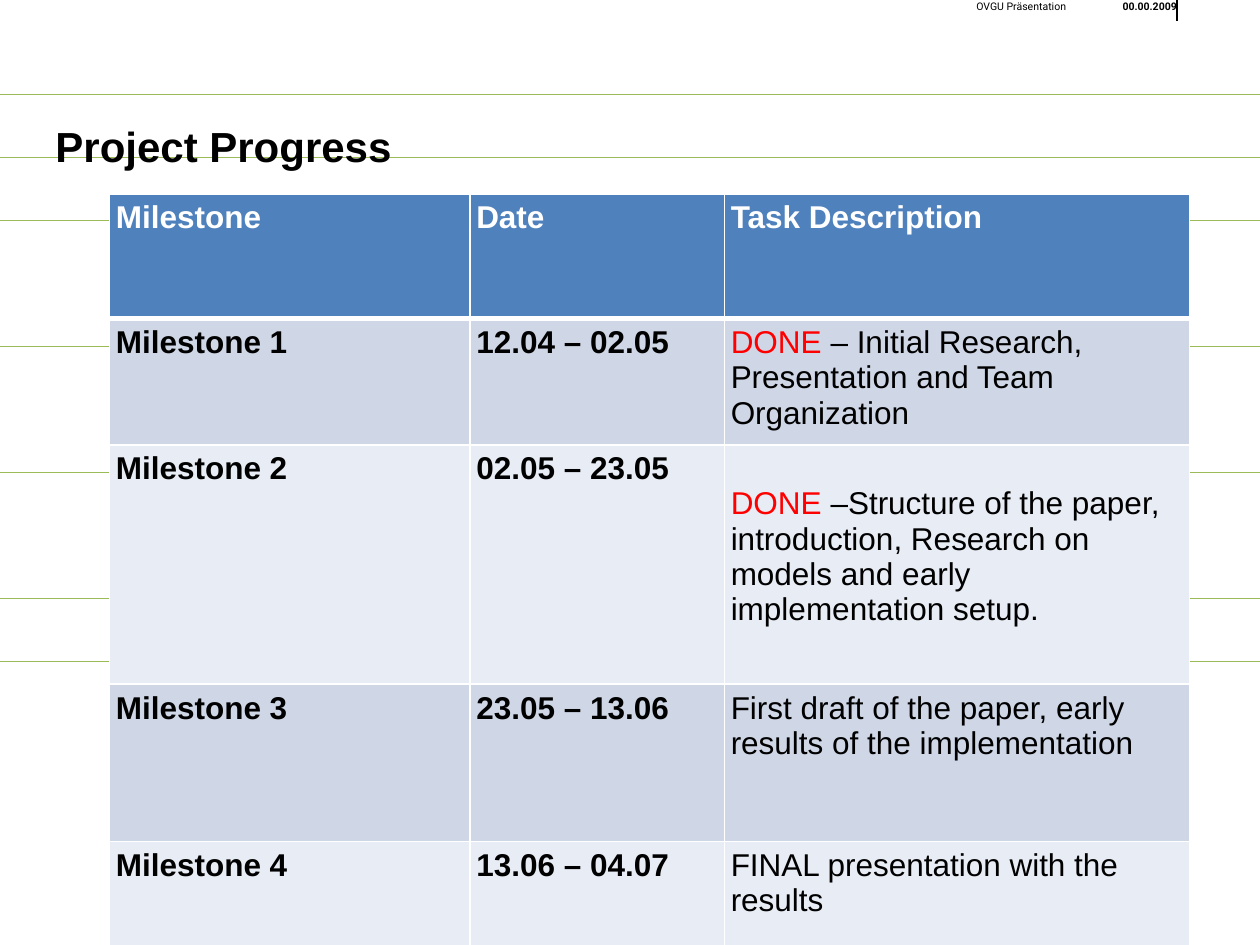
from typing import NamedTuple

import pptx
import pptx.dml.color
import pptx.enum.text
import pptx.oxml.ns
import pptx.util
from lxml import etree
from pptx.dml.color import RGBColor
from pptx.util import Inches

BLACK = RGBColor(0x00, 0x00, 0x00)
WHITE = RGBColor(0xFF, 0xFF, 0xFF)
RED = RGBColor(0xFF, 0x00, 0x00)
GREEN = RGBColor(0x9B, 0xBB, 0x59)
HEADER_BLUE = RGBColor(0x4F, 0x81, 0xBD)
BAND_DARK = RGBColor(0xCF, 0xD7, 0xE7)
BAND_LIGHT = RGBColor(0xE8, 0xEC, 0xF4)

PAD = 0.05
RULE_HEIGHTS = (0.75, 1.25, 1.75, 2.75, 3.75, 4.75, 5.25)
COLUMN_WIDTHS = (2.86, 2.02, 3.69)


class Run(NamedTuple):
    text: str
    size: float = 18
    color: RGBColor = BLACK
    bold: bool = False
    font: str = "Arial"


class Milestone(NamedTuple):
    name: str
    date: str
    task: tuple[Run, ...]
    height: float = 0.99
    task_top: float = PAD


MILESTONES = (
    Milestone("Milestone 1", "12.04 – 02.05",
              (Run("DONE", color=RED),
               Run(" – Initial Research, Presentation and Team Organization"))),
    Milestone("Milestone 2", "02.05 – 23.05",
              (Run("DONE ", color=RED),
               Run("–Structure of the paper, introduction, Research on models "
                   "and early implementation setup.")),
              height=1.9, task_top=0.33),
    Milestone("Milestone 3", "23.05 – 13.06",
              (Run("First draft of the paper, early results of the implementation"),),
              height=1.25),
    Milestone("Milestone 4", "13.06 – 04.07",
              (Run("FINAL presentation with the results"),)),
)


def add_runs(p, *runs: Run) -> None:
    for run in runs:
        r = p.add_run()
        r.text = run.text
        r.font.size = pptx.util.Pt(run.size)
        r.font.name = run.font
        r.font.bold = run.bold
        r.font.color.rgb = run.color


def add_line(s, x1: float, y1: float, x2: float, y2: float,
             color: RGBColor, width: float) -> None:
    line = s.shapes.add_connector(pptx.enum.shapes.MSO_CONNECTOR.STRAIGHT,
                                  Inches(x1), Inches(y1), Inches(x2), Inches(y2))
    line.line.color.rgb = color
    line.line.width = pptx.util.Pt(width)
    etree.SubElement(line._element.spPr, pptx.oxml.ns.qn("a:effectLst"))


def add_text(s, x: float, y: float, w: float, h: float, run: Run,
             pad: float = 0, wrap: bool = True,
             align=pptx.enum.text.PP_ALIGN.LEFT) -> None:
    tf = s.shapes.add_textbox(Inches(x), Inches(y), Inches(w), Inches(h)).text_frame
    tf.margin_left = tf.margin_right = tf.margin_top = tf.margin_bottom = Inches(pad)
    tf.word_wrap = wrap
    tf.auto_size = pptx.enum.text.MSO_AUTO_SIZE.SHAPE_TO_FIT_TEXT
    p = tf.paragraphs[0]
    p.alignment = align
    add_runs(p, run)


def add_borders(cell, top: float = 1, bottom: float = 1) -> None:
    """Draw white cell borders; widths are in points."""
    tc_pr = cell._tc.get_or_add_tcPr()
    for side, width in (("L", 1), ("R", 1), ("T", top), ("B", bottom)):
        ln = etree.SubElement(tc_pr, pptx.oxml.ns.qn(f"a:ln{side}"),
                              w=str(pptx.util.Pt(width)))
        fill = etree.SubElement(ln, pptx.oxml.ns.qn("a:solidFill"))
        etree.SubElement(fill, pptx.oxml.ns.qn("a:srgbClr"), val=str(WHITE))


def fill_cell(cell, fill: RGBColor, runs: tuple[Run, ...], margin_top: float = PAD,
              top: float = 1, bottom: float = 1) -> None:
    add_borders(cell, top, bottom)
    cell.fill.solid()
    cell.fill.fore_color.rgb = fill
    cell.margin_left = cell.margin_right = cell.margin_bottom = Inches(PAD)
    cell.margin_top = Inches(margin_top)
    add_runs(cell.text_frame.paragraphs[0], *runs)


def add_milestone_table(s) -> None:
    heights = [0.99] + [m.height for m in MILESTONES]
    table = s.shapes.add_table(len(heights), len(COLUMN_WIDTHS),
                               Inches(0.87), Inches(1.54),
                               Inches(sum(COLUMN_WIDTHS)),
                               Inches(sum(heights))).table
    for column, width in zip(table.columns, COLUMN_WIDTHS):
        column.width = Inches(width)
    for row, height in zip(table.rows, heights):
        row.height = Inches(height)

    for col, title in enumerate(("Milestone", "Date", "Task Description")):
        fill_cell(table.cell(0, col), HEADER_BLUE,
                  (Run(title, color=WHITE, bold=True),), bottom=3)
    for row, m in enumerate(MILESTONES, start=1):
        fill = BAND_DARK if row % 2 else BAND_LIGHT
        top = 3 if row == 1 else 1
        for col, text in enumerate((m.name, m.date)):
            fill_cell(table.cell(row, col), fill, (Run(text, bold=True),), top=top)
        fill_cell(table.cell(row, 2), fill, m.task, m.task_top, top=top)


def main() -> None:
    prs = pptx.Presentation()
    prs.slide_width, prs.slide_height = Inches(10), Inches(7.5)
    s = prs.slides.add_slide(prs.slide_layouts[6])

    for y in RULE_HEIGHTS:
        add_line(s, -1.08, y, 11.19, y, GREEN, 0.75)

    right = pptx.enum.text.PP_ALIGN.RIGHT
    add_text(s, 8.34, 0, 1, 0.14,
             Run("00.00.2009", size=6, bold=True, font="Roboto"), align=right)
    add_text(s, 6.25, 0, 2.21, 0.14,
             Run("OVGU Präsentation", size=6, font="Roboto"), align=right)
    add_line(s, 9.34, 0, 9.34, 0.17, BLACK, 1)

    add_milestone_table(s)
    add_text(s, 0.39, 0.91, 2.78, 0.48, Run("Project Progress", size=24, bold=True),
             pad=PAD, wrap=False)
    prs.save("out.pptx")


if __name__ == "__main__":
    main()
